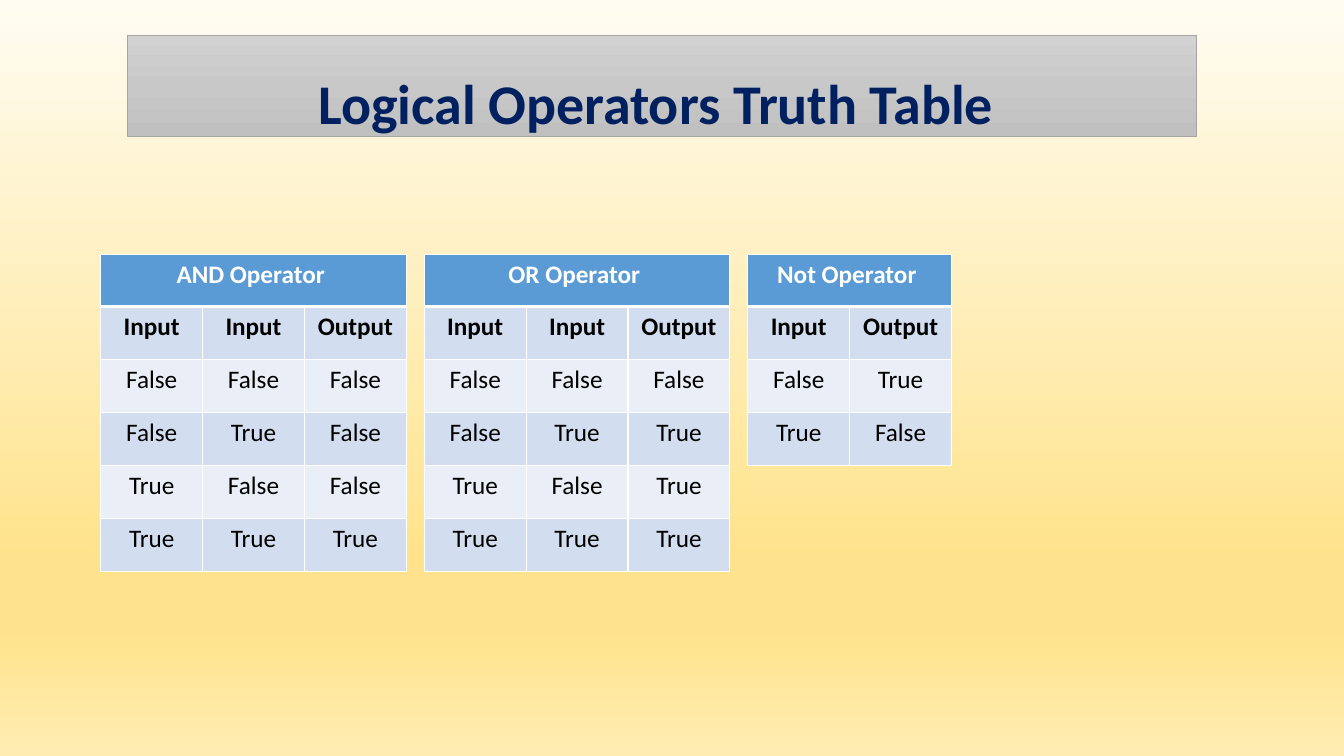
from lxml import etree
from pptx import Presentation
from pptx.dml.color import RGBColor
from pptx.enum.text import MSO_ANCHOR, MSO_AUTO_SIZE, PP_ALIGN
from pptx.oxml.ns import qn
from pptx.util import Pt

CENTER = PP_ALIGN.CENTER
MIDDLE = MSO_ANCHOR.MIDDLE
NO_FIT = MSO_AUTO_SIZE.NONE
TITLE_ONLY = 5

# Colours
NAVY = RGBColor(0x00, 0x20, 0x60)
GREY = RGBColor(0xA5, 0xA5, 0xA5)
BLUE = RGBColor(0x5B, 0x9B, 0xD5)
BAND = RGBColor(0xD2, 0xDE, 0xEF)
PALE = RGBColor(0xEA, 0xEF, 0xF7)
WHITE = RGBColor(0xFF, 0xFF, 0xFF)
BLACK = RGBColor(0x00, 0x00, 0x00)
PAGE_STOPS = [(0, RGBColor(0xFF, 0xFC, 0xF2)), (74, RGBColor(0xFF, 0xE3, 0x8C)),
              (83, RGBColor(0xFF, 0xE3, 0x8C)), (100, RGBColor(0xFF, 0xEC, 0xB2))]
TITLE_STOPS = [(0, RGBColor(0xD2, 0xD2, 0xD2)), (50, RGBColor(0xC8, 0xC8, 0xC8)),
               (100, RGBColor(0xC0, 0xC0, 0xC0))]

# Text formats
TITLE = {"name": "Calibri", "size": Pt(40), "bold": True}
HEAD = {"name": "Calibri", "size": Pt(18), "bold": True}
BODY = {**HEAD, "bold": False}

# Table grid, in points
COL, GAP = 72.75, 12.85
TOP_ROW, ROW = 37.4, 37.9
LEFT, TOP = 72, 181.5

F, T = "False", "True"
TABLES = [
    ("AND Operator ", [("Input", "Input", "Output"),
                       (F, F, F), (F, T, F), (T, F, F), (T, T, T)]),
    ("OR Operator ", [("Input", "Input", "Output"),
                      (F, F, F), (F, T, T), (T, F, T), (T, T, T)]),
    ("Not Operator ", [("Input", "Output"), (F, T), (T, F)]),
]


def write(frame, text, style, color):
    para = frame.paragraphs[0]
    para.alignment = CENTER
    run = para.add_run()
    run.text = text
    for key, value in style.items():
        setattr(run.font, key, value)
    run.font.color.rgb = color
    return para


def shade(fill, root, stops):
    """Fill with a top-to-bottom gradient of (percent, colour) stops."""
    fill.gradient()
    fill.gradient_angle = 270
    items = next(root.iter(qn("a:gsLst")))
    for old in list(items):
        items.remove(old)
    for place, color in stops:
        stop = etree.SubElement(items, qn("a:gs"), pos=str(place * 1000))
        etree.SubElement(stop, qn("a:srgbClr"), val=str(color))


def edge(cell, side, width):
    props = cell._tc.get_or_add_tcPr()
    line = etree.SubElement(props, qn("a:ln" + side), w=str(Pt(width)))
    solid = etree.SubElement(line, qn("a:solidFill"))
    etree.SubElement(solid, qn("a:srgbClr"), val=str(WHITE))


def add_title(slide, text, left, top, width, height):
    title = slide.shapes.title
    title.left, title.top = Pt(left), Pt(top)
    title.width, title.height = Pt(width), Pt(height)
    # Rounded outline
    geom = etree.SubElement(title.element.spPr, qn("a:prstGeom"), prst="roundRect")
    etree.SubElement(geom, qn("a:avLst"))
    shade(title.fill, title.element, TITLE_STOPS)
    title.line.color.rgb = GREY
    title.line.width = Pt(0.5)
    frame = title.text_frame
    frame.word_wrap = True
    frame.auto_size = NO_FIT
    frame.vertical_anchor = MIDDLE
    write(frame, text, TITLE, NAVY).line_spacing = 1.5


def add_truth(slide, name, rows, left, top):
    """Place one truth table and return its width."""
    cols = len(rows[0])
    width = cols * COL
    height = TOP_ROW + len(rows) * ROW
    table = slide.shapes.add_table(len(rows) + 1, cols, Pt(left), Pt(top),
                                   Pt(width), Pt(height)).table
    for col in table.columns:
        col.width = Pt(COL)
    for i, row in enumerate(table.rows):
        row.height = Pt(ROW if i else TOP_ROW)
        for cell in row.cells:
            for side in "LRTB":
                thick = (i, side) in ((0, "B"), (1, "T"))
                edge(cell, side, 3 if thick else 1)
            cell.fill.solid()
            cell.fill.fore_color.rgb = (BAND if i % 2 else PALE) if i else BLUE
    # Operator name across the top, then the values
    table.cell(0, 0).merge(table.cell(0, cols - 1))
    write(table.cell(0, 0).text_frame, name, HEAD, WHITE)
    for i, row in enumerate(rows, 1):
        for j, text in enumerate(row):
            write(table.cell(i, j).text_frame, text, HEAD if i == 1 else BODY, BLACK)
    return width


def add_tables(slide, left, top):
    for name, rows in TABLES:
        left += add_truth(slide, name, rows, left, top) + GAP


deck = Presentation()
deck.slide_width, deck.slide_height = Pt(960), Pt(540)
slide = deck.slides.add_slide(deck.slide_layouts[TITLE_ONLY])
shade(slide.background.fill, slide.element, PAGE_STOPS)
add_title(slide, "Logical Operators Truth Table ", 90.9, 25.2, 764, 72)
add_tables(slide, LEFT, TOP)
deck.save("out.pptx")
